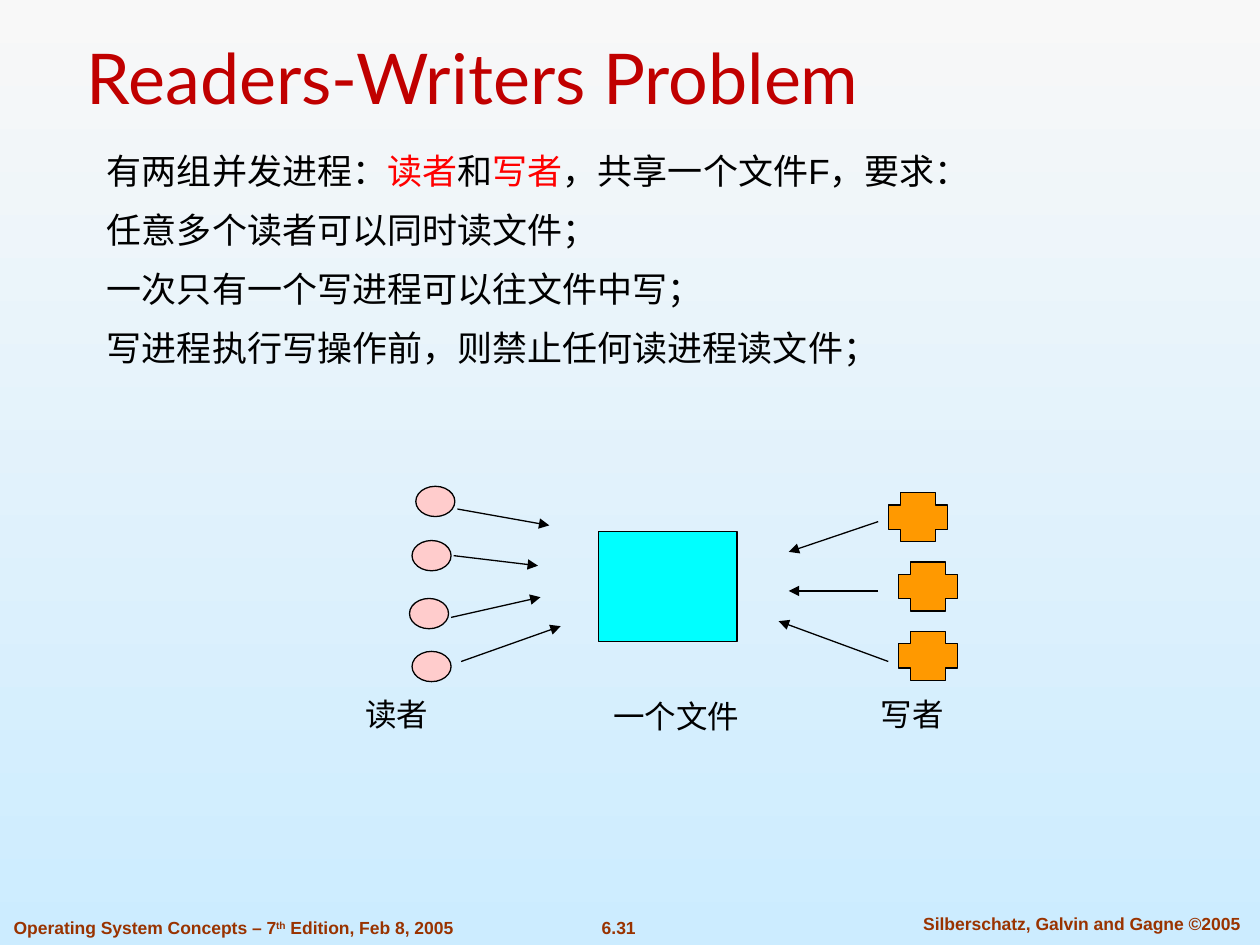
from lxml import etree
from pptx import Presentation
from pptx.dml.color import RGBColor
from pptx.enum.shapes import MSO_CONNECTOR, MSO_SHAPE
from pptx.enum.text import MSO_ANCHOR, PP_ALIGN
from pptx.oxml.ns import qn
from pptx.util import Inches, Pt

OVAL, RECT, CROSS = MSO_SHAPE.OVAL, MSO_SHAPE.RECTANGLE, MSO_SHAPE.CROSS
STRAIGHT = MSO_CONNECTOR.STRAIGHT
LEFT, CENTER, JUSTIFY = PP_ALIGN.LEFT, PP_ALIGN.CENTER, PP_ALIGN.JUSTIFY
BOTTOM = MSO_ANCHOR.BOTTOM
BLACK, RED, BROWN = "000000", "FF0000", "993300"

REQUIREMENTS = [
    [("有两组并发进程：", BLACK), ("读者", RED), ("和", BLACK), ("写者", RED),
     ("，共享一个文件F，要求：", BLACK)],
    [("任意多个读者可以同时读文件；", BLACK)],
    [("一次只有一个写进程可以往文件中写；", BLACK)],
    [("写进程执行写操作前，则禁止任何读进程读文件；", BLACK)],
]
READERS = [(3.3, 3.86), (3.27, 4.29), (3.25, 4.75), (3.27, 5.17)]
WRITERS = [(7.05, 3.91), (7.13, 4.46), (7.13, 5.01)]
ARROWS = [
    # readers to file
    (3.63, 4.04, 4.36, 4.17), (3.6, 4.41, 4.27, 4.49),
    (3.58, 4.9, 4.29, 4.74), (3.66, 5.25, 4.45, 4.97),
    # writers to file
    (6.97, 4.14, 6.26, 4.38), (6.97, 4.69, 6.26, 4.69),
    (7.05, 5.25, 6.18, 4.93),
]


def rgb(color):
    return RGBColor.from_string(color)


def add_run(p, text, size, color, font="Arial", bold=False):
    r = p.add_run()
    r.text = text
    r.font.size = Pt(size)
    r.font.name = font
    r.font.bold = bold
    r.font.color.rgb = rgb(color)
    return r


def add_text(s, x, y, w, h, wrap=False):
    tf = s.shapes.add_textbox(Inches(x), Inches(y), Inches(w), Inches(h)).text_frame
    tf.word_wrap = wrap
    return tf


def add_label(s, text, x, y, w):
    p = add_text(s, x, y, w, 0.4).paragraphs[0]
    add_run(p, text, 18, BLACK)


def add_footer(s, text, x, y, w, align=LEFT, wrap=False):
    p = add_text(s, x, y, w, 0.27, wrap).paragraphs[0]
    p.alignment = align
    add_run(p, text, 10, BROWN, bold=True)
    return p


def add_figure(s, kind, x, y, w, h, fill):
    sp = s.shapes.add_shape(kind, Inches(x), Inches(y), Inches(w), Inches(h))
    sp.shadow.inherit = False
    sp.fill.solid()
    sp.fill.fore_color.rgb = rgb(fill)
    sp.line.color.rgb = rgb(BLACK)
    sp.line.width = Pt(0.75)


def add_arrow(s, x1, y1, x2, y2):
    c = s.shapes.add_connector(STRAIGHT, Inches(x1), Inches(y1), Inches(x2), Inches(y2))
    c.line.color.rgb = rgb(BLACK)
    c.line.width = Pt(0.75)
    etree.SubElement(c.line._get_or_add_ln(), qn("a:tailEnd"), type="triangle")
    etree.SubElement(c._element.spPr, qn("a:effectLst"))


def set_background(s):
    fill = s.background.fill
    fill.gradient()
    fill.gradient_angle = 270
    for stop, color in zip(fill.gradient_stops, ("F8F8F8", "CCECFF")):
        stop.color.rgb = rgb(color)


def set_title(s, text):
    sp = s.shapes.title
    sp.left, sp.top, sp.width, sp.height = Inches(0.59), 0, Inches(8.52), Inches(0.99)
    tf = sp.text_frame
    tf.vertical_anchor = BOTTOM
    p = tf.paragraphs[0]
    p.alignment = LEFT
    add_run(p, text, 40, "C00000", "Lato")


def add_requirements(s):
    tf = add_text(s, 0.75, 1.07, 8.82, 1.88, wrap=True)
    for i, runs in enumerate(REQUIREMENTS):
        p = tf.add_paragraph() if i else tf.paragraphs[0]
        p.alignment = JUSTIFY
        p.line_spacing = 1.2
        p.space_before = Pt(5 if i else 0)
        for text, color in runs:
            add_run(p, text, 20, color)


def add_diagram(s):
    for x, y in READERS:
        add_figure(s, OVAL, x, y, 0.31, 0.24, "FFCCCC")
    add_figure(s, RECT, 4.75, 4.22, 1.1, 0.87, "00FFFF")
    for x, y in WRITERS:
        add_figure(s, CROSS, x, y, 0.47, 0.39, "FF9900")
    for ends in ARROWS:
        add_arrow(s, *ends)
    add_label(s, "读者", 2.8, 5.47, 0.7)
    add_label(s, "一个文件", 4.77, 5.48, 1.2)
    add_label(s, "写者", 6.89, 5.47, 0.7)


def add_footers(s):
    p = add_footer(s, "Operating System Concepts – 7", 0.01, 7.23, 3.69)
    th = add_run(p, "th", 10, BROWN, bold=True)
    th.font._element.set("baseline", "30000")
    add_run(p, " Edition, Feb 8, 2005", 10, BROWN, bold=True)
    add_footer(s, "6.31", 4.42, 7.23, 0.98, CENTER)
    add_footer(s, "Silberschatz, Galvin and Gagne ©2005", 7.1, 7.2, 2.97, CENTER, wrap=True)


def main():
    prs = Presentation()
    prs.slide_width, prs.slide_height = Inches(10), Inches(7.5)
    s = prs.slides.add_slide(prs.slide_layouts[5])
    set_background(s)
    set_title(s, "Readers-Writers Problem")
    add_requirements(s)
    add_diagram(s)
    add_footers(s)
    prs.save("out.pptx")


if __name__ == "__main__":
    main()
